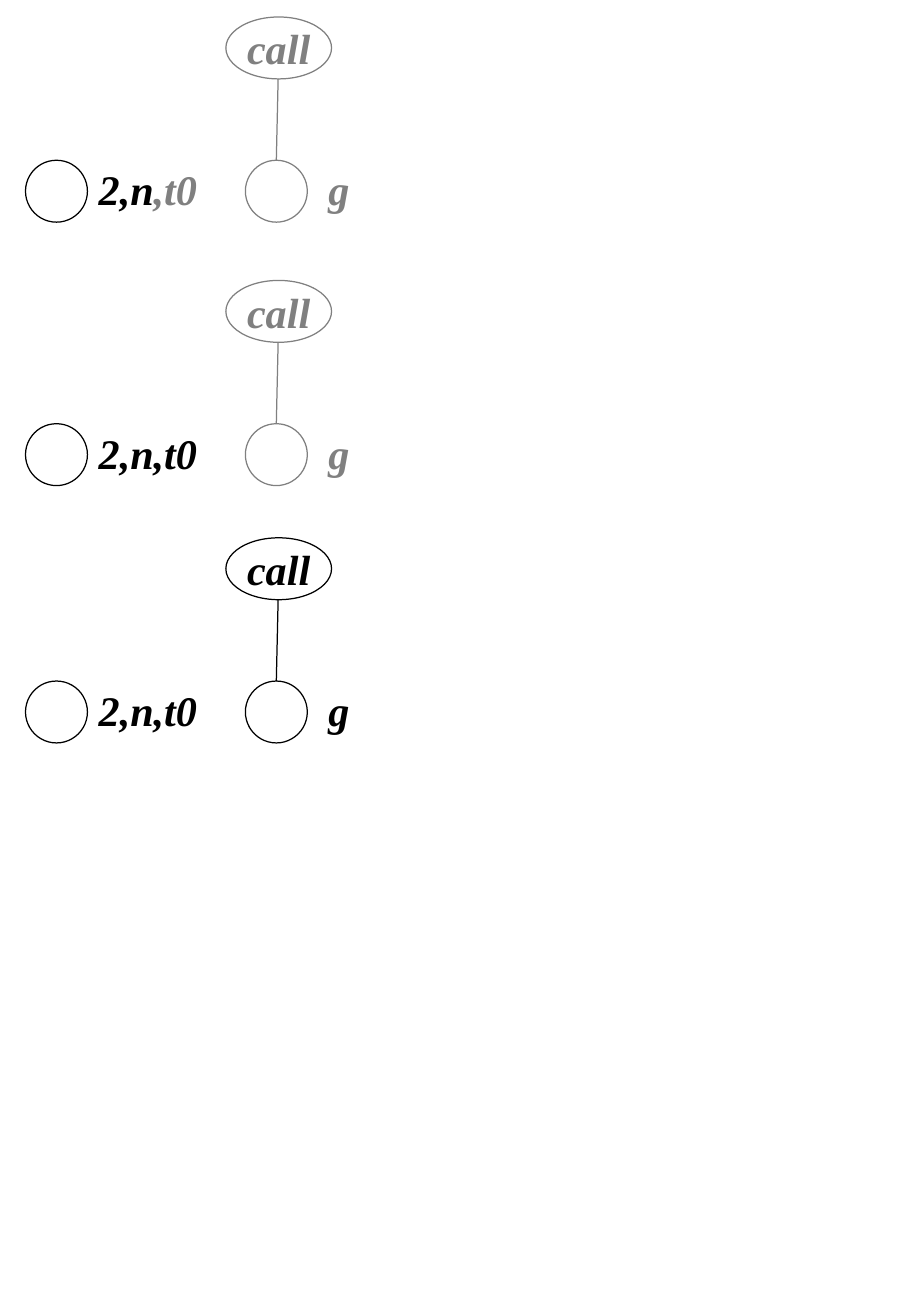
from dataclasses import dataclass

from lxml.etree import SubElement
from pptx import Presentation
from pptx.dml.color import RGBColor
from pptx.enum.shapes import MSO_CONNECTOR, MSO_SHAPE
from pptx.enum.text import MSO_ANCHOR, PP_ALIGN
from pptx.oxml.ns import qn
from pptx.util import Emu, Pt

PX = 9144  # EMU per px, 100 px to the inch


@dataclass(frozen=True)
class Theme:
    active: RGBColor = RGBColor(0x00, 0x00, 0x00)
    faded: RGBColor = RGBColor(0x80, 0x80, 0x80)
    font: str = "Times New Roman"
    size: Pt = Pt(25)
    line: Pt = Pt(0.75)


THEME = Theme()


@dataclass(frozen=True)
class Step:
    """One state of the call tree: its top and the colours of its parts."""
    top: int
    label: tuple[tuple[str, RGBColor], ...]
    call: RGBColor


STEPS = (
    Step(14, (("2,n", THEME.active), (",t0", THEME.faded)), THEME.faded),
    Step(231, (("2,n,t0", THEME.active),), THEME.faded),
    Step(443, (("2,n,t0", THEME.active),), THEME.active),
)
NODE = 51
CALL_WIDTH = 87
LABEL_HEIGHT = 47
NODE_DROP = 118  # from the top of the call to the top of the nodes


def px(n: int) -> Emu:
    return Emu(n * PX)


def add_outline(s, kind, left: int, top: int, width: int, height: int, color=None):
    """Add an unfilled shape, with a line only when a colour is given."""
    sp = s.shapes.add_shape(kind, px(left), px(top), px(width), px(height))
    sp.shadow.inherit = False
    sp.fill.background()
    if color is None:
        sp.line.fill.background()
    else:
        sp.line.color.rgb = color
        sp.line.width = THEME.line
    return sp


def set_text(sp, *runs, align=PP_ALIGN.LEFT, inset: int = 11) -> None:
    tf = sp.text_frame
    tf.word_wrap = False
    tf.vertical_anchor = MSO_ANCHOR.MIDDLE
    tf.margin_left = tf.margin_right = px(inset)
    tf.margin_top = tf.margin_bottom = px(5)
    p = tf.paragraphs[0]
    p.alignment = align
    for text, color in runs:
        r = p.add_run()
        r.text = text
        r.font.name = THEME.font
        r.font.size = THEME.size
        r.font.bold = r.font.italic = True
        r.font.color.rgb = color


def add_label(s, left: int, top: int, width: int, *runs) -> None:
    sp = add_outline(s, MSO_SHAPE.ROUNDED_RECTANGLE, left, top, width, LABEL_HEIGHT)
    set_text(sp, *runs)


def add_edge(s, x: int, y: int, node, color: RGBColor) -> None:
    """Draw a line from a point to the top of a node."""
    edge = s.shapes.add_connector(MSO_CONNECTOR.STRAIGHT, px(x), px(y), px(x), px(y))
    edge.end_connect(node, 0)
    edge.line.color.rgb = color
    edge.line.width = THEME.line
    SubElement(edge.element.spPr, qn("a:effectLst"))


def add_step(s, step: Step) -> None:
    call_left, node_top = 186, step.top + NODE_DROP
    add_label(s, 68, node_top, 118, *step.label)
    add_outline(s, MSO_SHAPE.OVAL, 21, node_top, NODE, NODE, THEME.active)
    node = add_outline(s, MSO_SHAPE.OVAL, 202, node_top, NODE, NODE, step.call)
    add_label(s, 257, node_top, 55, ("g", step.call))
    call = add_outline(s, MSO_SHAPE.OVAL, call_left, step.top, CALL_WIDTH, NODE, step.call)
    set_text(call, ("call", step.call), align=PP_ALIGN.CENTER, inset=10)
    add_edge(s, call_left + CALL_WIDTH // 2, step.top + NODE, node, step.call)


def main() -> None:
    prs = Presentation()
    prs.slide_width, prs.slide_height = px(750), px(1084)
    s = prs.slides.add_slide(prs.slide_layouts[6])
    for step in STEPS:
        add_step(s, step)
    prs.save("out.pptx")


if __name__ == "__main__":
    main()
